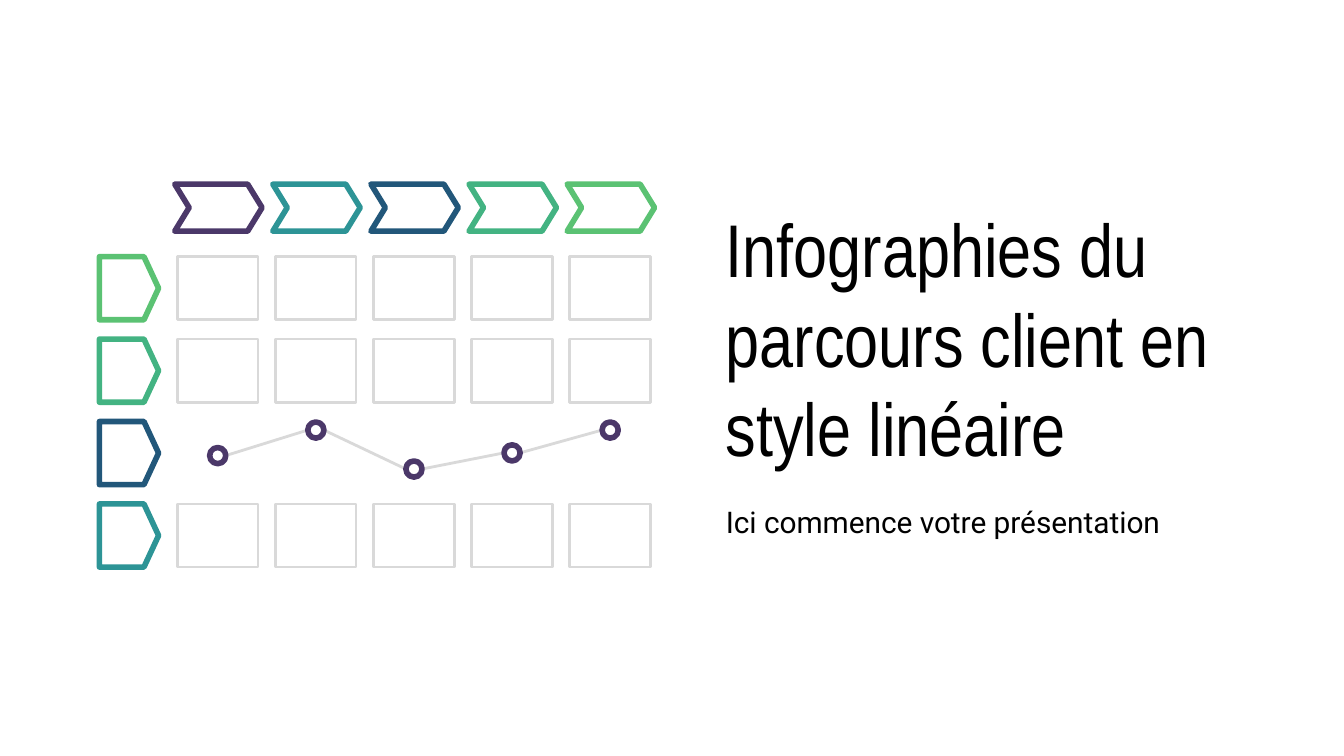
from dataclasses import dataclass
from itertools import pairwise

from lxml import etree
from pptx import Presentation
from pptx.dml.color import RGBColor
from pptx.enum.shapes import MSO_CONNECTOR, MSO_SHAPE
from pptx.enum.text import MSO_ANCHOR, MSO_AUTO_SIZE, PP_ALIGN
from pptx.oxml.ns import qn
from pptx.util import Inches, Pt

RECT, OVAL = MSO_SHAPE.RECTANGLE, MSO_SHAPE.OVAL
STEP, STAGE = MSO_SHAPE.PENTAGON, MSO_SHAPE.CHEVRON
LINE = MSO_CONNECTOR.STRAIGHT
TOP, BOTTOM = MSO_ANCHOR.TOP, MSO_ANCHOR.BOTTOM
LEFT, FIXED = PP_ALIGN.LEFT, MSO_AUTO_SIZE.NONE


@dataclass(frozen=True)
class Theme:
    text: str = "000000"
    grey: str = "D9D9D9"
    plum: str = "4B3869"
    teal: str = "2D9496"
    navy: str = "22577A"
    green: str = "43B382"
    lime: str = "5BC273"
    head: tuple = ("Arial Narrow", 40)
    body: tuple = ("Roboto", 16)
    thin: float = 1.5
    thick: float = 3


T = Theme()

# Grid of the journey map
COLS = [1.32 + 0.73 * i for i in range(5)]
ROWS = [1.91 + 1.84 * i / 3 for i in range(4)]
CELL_W, CELL_H = 0.6, 0.47
CURVE_ROW = 2
DOT = 0.12
DOT_TOPS = [3.33, 3.14, 3.43, 3.31, 3.14]


def paint(line, color, width):
    line.color.rgb = RGBColor.from_string(color)
    line.width = Pt(width)


def outline(slide, kind, box, color, width, adj=None):
    shape = slide.shapes.add_shape(kind, *map(Inches, box))
    shape.shadow.inherit = False
    shape.fill.background()
    paint(shape.line, color, width)
    etree.SubElement(shape.line._get_or_add_ln(), qn("a:round"))
    if adj is not None:
        shape.adjustments[0] = adj


def link(slide, start, end):
    line = slide.shapes.add_connector(LINE, *map(Inches, start + end))
    paint(line.line, T.grey, T.thin)
    etree.SubElement(line._element.spPr, qn("a:effectLst"))


def write(holder, text, box, font, anchor):
    for name, value in zip(("left", "top", "width", "height"), box):
        setattr(holder, name, Inches(value))
    frame = holder.text_frame
    frame.text = text
    pad = Inches(0.1)
    look = {"margin_left": pad, "margin_right": pad, "margin_top": pad,
            "margin_bottom": pad, "word_wrap": True, "auto_size": FIXED,
            "vertical_anchor": anchor}
    for name, value in look.items():
        setattr(frame, name, value)
    para = frame.paragraphs[0]
    para.alignment = LEFT
    para.space_before = Pt(0)
    run = para.runs[0].font
    run.name, run.size = font[0], Pt(font[1])
    run.color.rgb = RGBColor.from_string(T.text)


def curve(slide):
    dots = [(x + (CELL_W - DOT) / 2, y) for x, y in zip(COLS, DOT_TOPS)]
    for (x1, y1), (x2, y2) in pairwise(dots):
        link(slide, (x1 + DOT, y1 + DOT / 2), (x2, y2 + DOT / 2))
    for x, y in dots:
        outline(slide, OVAL, (x, y, DOT, DOT), T.plum, T.thick)


def main():
    # Widescreen page, 16 to 9
    deck = Presentation()
    deck.slide_width = Inches(10)
    deck.slide_height = deck.slide_width * 9 // 16
    slide = deck.slides.add_slide(deck.slide_layouts[0])

    # Title and subtitle
    write(slide.shapes.title, "Infographies du parcours client en style linéaire",
          (5.3, 1.4, 4.07, 2.21), T.head, BOTTOM)
    write(slide.placeholders[1], "Ici commence votre présentation",
          (5.3, 3.65, 4.07, 0.47), T.body, TOP)

    # Satisfaction curve
    curve(slide)

    # Row labels and their cells
    for i, (y, color) in enumerate(zip(ROWS, (T.lime, T.green, T.navy, T.teal))):
        outline(slide, STEP, (0.74, y, 0.44, CELL_H), color, T.thick, 0.247)
        if i != CURVE_ROW:
            for x in COLS:
                outline(slide, RECT, (x, y, CELL_W, CELL_H), T.grey, T.thin)

    # Stage arrows above the columns
    for x, color in zip(COLS, (T.plum, T.teal, T.navy, T.green, T.lime)):
        outline(slide, STAGE, (x - 0.02, 1.37, 0.65, 0.35), color, T.thick, 0.307)

    deck.save("out.pptx")


if __name__ == "__main__":
    main()
